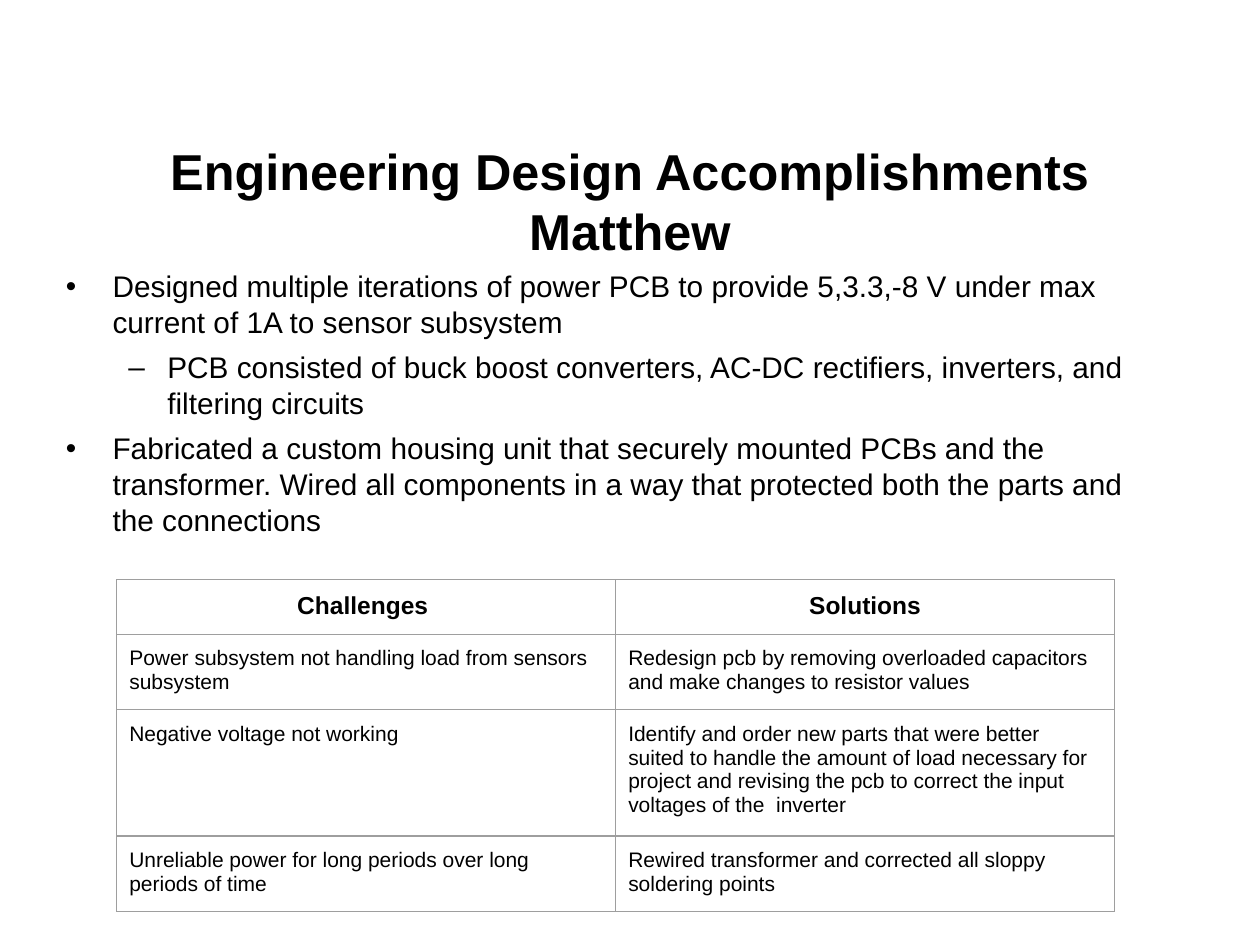
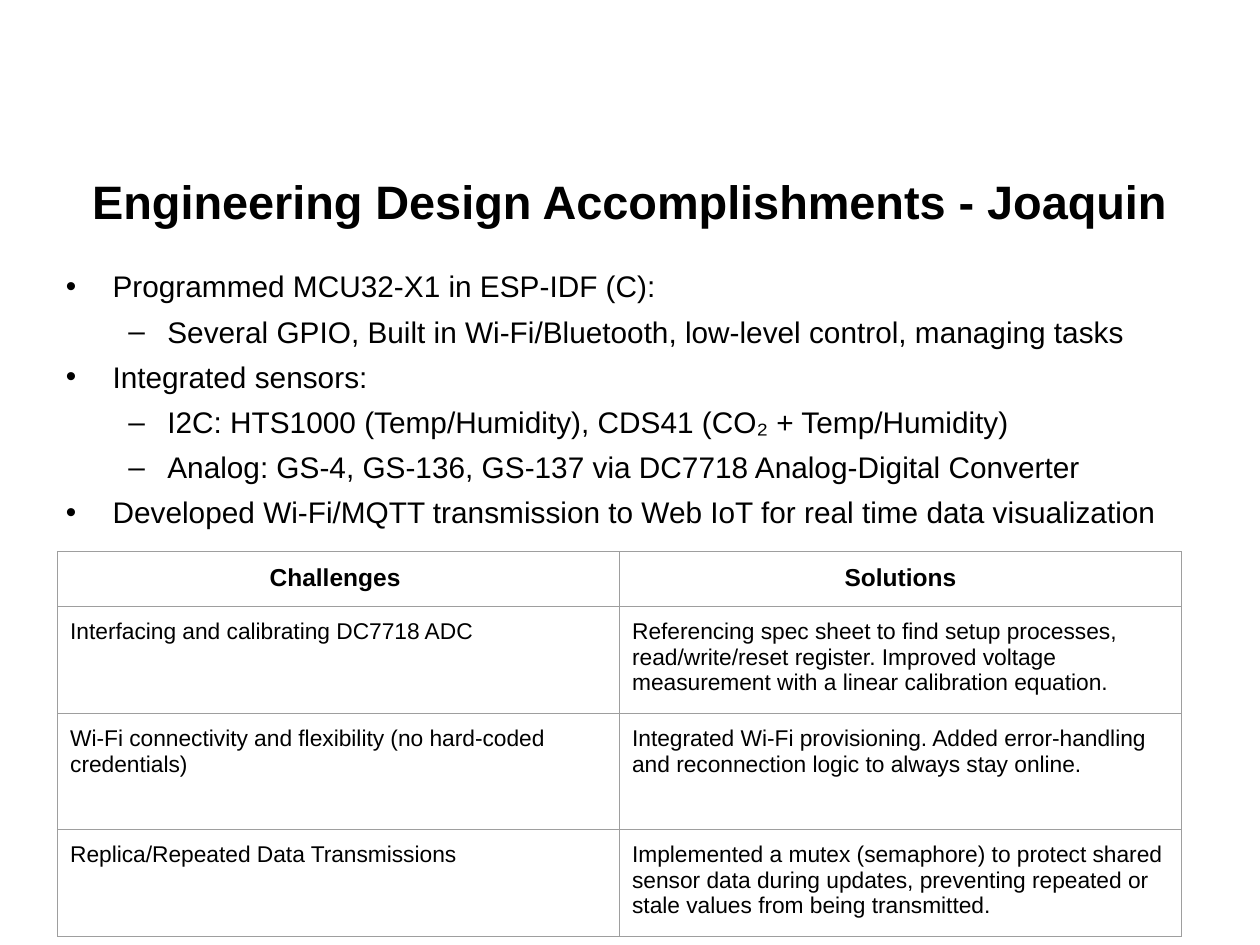
from lxml import etree
from pptx import Presentation
from pptx.dml.color import RGBColor
from pptx.enum import text
from pptx.oxml import ns
from pptx.util import Pt

FONT, INK, RULE = "Arial", "000000", "9E9E9E"
ROW_HEIGHTS = [28.8, 39.6, 66.24, 39.6]
BULLETS = [("•", 27, -26.64), ("–", 58.32, -22.32)]
HEADINGS = ("Challenges ", "Solutions")

SLIDES = [
    {
        "title": "Engineering Design Accomplishments Matthew",
        "title_size": 28.8,
        "body_width": 643.68,
        "points": [
            (0, "Designed multiple iterations of power PCB to provide 5,3.3,-8 V under max current of 1A to sensor subsystem"),
            (1, "PCB consisted of buck boost converters, AC-DC rectifiers, inverters, and filtering circuits"),
            (0, "Fabricated a custom housing unit that securely mounted PCBs and the transformer. Wired all components in a way that protected both the parts and the connections"),
        ],
        "table_at": (66.7, 331.2),
        "column_width": 285.12,
        "cell_size": 12,
        "rows": [
            ("Power subsystem not handling load from sensors subsystem",
             "Redesign pcb by removing overloaded capacitors and make changes to resistor values"),
            ("Negative voltage not working",
             "Identify and order new parts that were better suited to handle the amount of load necessary for project and revising the pcb to correct the input voltages of the  inverter"),
            ("Unreliable power for long periods over long periods of time",
             "Rewired transformer and corrected all sloppy soldering points"),
        ],
    },
    {
        "title": "Engineering Design Accomplishments - Joaquin",
        "title_size": 26.8,
        "body_width": 648,
        "points": [
            (0, "Programmed MCU32-X1 in ESP-IDF (C):"),
            (1, "Several GPIO, Built in Wi-Fi/Bluetooth, low-level control, managing tasks"),
            (0, "Integrated sensors:"),
            (1, "I2C: HTS1000 (Temp/Humidity), CDS41 (CO₂ + Temp/Humidity)"),
            (1, "Analog: GS-4, GS-136, GS-137 via DC7718 Analog-Digital Converter"),
            (0, "Developed Wi-Fi/MQTT transmission to Web IoT for real time data visualization"),
        ],
        "table_at": (32.9, 315.36),
        "column_width": 321.12,
        "cell_size": 13,
        "rows": [
            ("Interfacing and calibrating DC7718 ADC",
             "Referencing spec sheet to find setup processes, read/write/reset register. Improved voltage measurement with a linear calibration equation."),
            ("Wi-Fi connectivity and flexibility (no hard-coded credentials)",
             "Integrated Wi-Fi provisioning. Added error-handling and reconnection logic to always stay online."),
            ("Replica/Repeated Data Transmissions",
             "Implemented a mutex (semaphore) to protect shared sensor data during updates, preventing repeated or stale values from being transmitted."),
        ],
    },
]


def set_font(para, size, bold=False):
    para.font.name = FONT
    para.font.size = Pt(size)
    para.font.bold = bold
    para.font.color.rgb = RGBColor.from_string(INK)


def add_color(parent, tag, color):
    holder = etree.SubElement(parent, ns.qn(tag))
    etree.SubElement(holder, ns.qn("a:srgbClr"), val=color)


deck = Presentation()
deck.slide_width, deck.slide_height = Pt(720), Pt(540)

for content in SLIDES:
    page = deck.slides.add_slide(deck.slide_layouts[6])

    title = page.shapes.add_textbox(Pt(36), Pt(82.8), Pt(648), Pt(63.36)).text_frame
    title.word_wrap = True
    title.vertical_anchor = text.MSO_ANCHOR.MIDDLE
    para = title.paragraphs[0]
    para.text = content["title"]
    para.alignment = text.PP_ALIGN.CENTER
    set_font(para, content["title_size"], True)

    body = page.shapes.add_textbox(Pt(30.24), Pt(149.76), Pt(content["body_width"]), Pt(365.04)).text_frame
    body.word_wrap = True
    for index, (level, point) in enumerate(content["points"]):
        para = body.add_paragraph() if index else body.paragraphs[0]
        para.text = point
        para.level = level
        para.space_before = Pt(5.4 if index else 0)
        mark, margin, indent = BULLETS[level]
        props = para._p.get_or_add_pPr()
        props.set("marL", str(Pt(margin)))
        props.set("indent", str(Pt(indent)))
        add_color(props, "a:buClr", INK)
        etree.SubElement(props, ns.qn("a:buFont"), typeface=FONT)
        etree.SubElement(props, ns.qn("a:buChar"), char=mark)
        set_font(para, 17)

    left, top = content["table_at"]
    width = content["column_width"]
    table = page.shapes.add_table(4, 2, Pt(left), Pt(top), Pt(2 * width), Pt(sum(ROW_HEIGHTS))).table
    table.first_row = table.horz_banding = False
    for column in table.columns:
        column.width = Pt(width)
    for row, height in zip(table.rows, ROW_HEIGHTS):
        row.height = Pt(height)
    for r, texts in enumerate([HEADINGS] + content["rows"]):
        for c, words in enumerate(texts):
            cell = table.cell(r, c)
            cell.margin_left = cell.margin_right = cell.margin_top = cell.margin_bottom = Pt(7.2)
            para = cell.text_frame.paragraphs[0]
            para.text = words
            para.line_spacing = 1.0
            para.space_before = para.space_after = Pt(0)
            if r == 0:
                para.alignment = text.PP_ALIGN.CENTER
            set_font(para, content["cell_size"] if r else 14, r == 0)
            props = cell._tc.get_or_add_tcPr()
            for side in ("a:lnL", "a:lnR", "a:lnT", "a:lnB"):
                border = etree.SubElement(props, ns.qn(side), w=str(Pt(0.75)))
                add_color(border, "a:solidFill", RULE)
            cell.fill.background()

deck.save("out.pptx")
